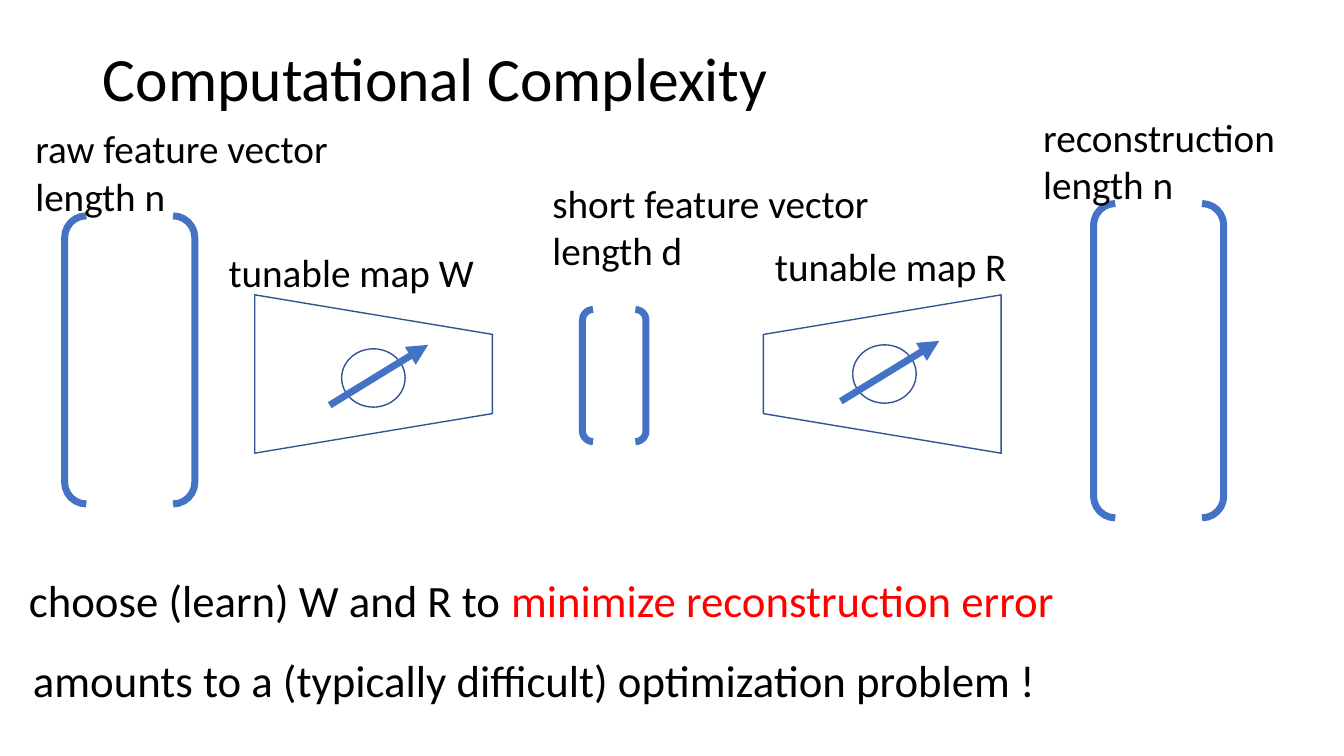
"""Builds the slide on the computational complexity of learning a compression map."""
import dataclasses

import lxml.etree
import pptx
import pptx.dml.color
import pptx.enum.shapes
import pptx.enum.text
import pptx.oxml.ns
import pptx.util

Cm = pptx.util.Cm
Pt = pptx.util.Pt
PRESET = pptx.enum.shapes.MSO_SHAPE


@dataclasses.dataclass(frozen=True)
class Theme:
    font: str = "Calibri"
    text: str = "000000"
    accent: str = "FF0000"
    bold_line: str = "4472C4"
    thin_line: str = "325491"
    title_size: int = 44
    body_size: int = 32
    label_size: int = 28
    bold_width: int = 5
    thin_width: int = 1


class SlideBuilder:
    def __init__(self, page, theme):
        self.page = page
        self.theme = theme

    def format_span(self, span, size, color):
        span.font.name = self.theme.font
        span.font.size = Pt(size)
        span.font.color.rgb = pptx.dml.color.RGBColor.from_string(color)

    def format_line(self, line, color, width):
        line.color.rgb = pptx.dml.color.RGBColor.from_string(color)
        line.width = Pt(width)

    def title(self, text, left, top, width, height):
        box = self.page.shapes.title
        box.left, box.top, box.width, box.height = Cm(left), Cm(top), Cm(width), Cm(height)
        frame = box.text_frame
        frame.text = text
        frame.auto_size = pptx.enum.text.MSO_AUTO_SIZE.NONE
        frame.vertical_anchor = pptx.enum.text.MSO_ANCHOR.MIDDLE
        para = frame.paragraphs[0]
        para.alignment = pptx.enum.text.PP_ALIGN.LEFT
        para.line_spacing = 0.9
        self.format_span(para.runs[0], self.theme.title_size, self.theme.text)

    def text(self, text, left, top, width, height, size, highlight=""):
        box = self.page.shapes.add_textbox(Cm(left), Cm(top), Cm(width), Cm(height))
        frame = box.text_frame
        frame.word_wrap = True
        frame.text = text
        for para in frame.paragraphs:
            for span in para.runs:
                self.format_span(span, size, self.theme.text)
        if highlight:
            span = frame.paragraphs[-1].add_run()
            span.text = highlight
            self.format_span(span, size, self.theme.accent)

    def label(self, text, left, top, width):
        height = 1.15 + 0.93 * text.count("\n")
        self.text(text, left, top, width, height, self.theme.label_size)

    def outline(self, preset, left, top, width, height, color, line_width):
        shape = self.page.shapes.add_shape(preset, Cm(left), Cm(top), Cm(width), Cm(height))
        shape.shadow.inherit = False
        shape.fill.background()
        self.format_line(shape.line, color, line_width)
        return shape

    def vector(self, left, top, width, height):
        self.outline(PRESET.DOUBLE_BRACKET, left, top, width, height,
                     self.theme.bold_line, self.theme.bold_width)

    def tunable_map(self, left, rotation, dial_left, dial_top):
        funnel = self.outline(PRESET.TRAPEZOID, left, 6.43, 3.99, 5.99,
                              self.theme.thin_line, self.theme.thin_width)
        funnel.rotation = rotation
        self.outline(PRESET.OVAL, dial_left, dial_top, 1.6, 1.47,
                     self.theme.thin_line, self.theme.thin_width)
        self.arrow(dial_left - 0.3, dial_top + 1.42, dial_left + 2.18, dial_top - 0.1)

    def arrow(self, start_x, start_y, end_x, end_y):
        arrow = self.page.shapes.add_connector(
            pptx.enum.shapes.MSO_CONNECTOR.STRAIGHT,
            Cm(start_x), Cm(start_y), Cm(end_x), Cm(end_y))
        self.format_line(arrow.line, self.theme.bold_line, self.theme.bold_width)
        properties = arrow.element.spPr
        qn = pptx.oxml.ns.qn
        lxml.etree.SubElement(properties.find(qn("a:ln")), qn("a:tailEnd"), type="triangle")
        lxml.etree.SubElement(properties, qn("a:effectLst"))


def main():
    deck = pptx.Presentation()
    deck.slide_width, deck.slide_height = Cm(33.87), Cm(19.05)
    page = deck.slides.add_slide(deck.slide_layouts.get_by_name("Title Only"))
    theme = Theme()
    builder = SlideBuilder(page, theme)

    builder.title("Computational Complexity", 2.34, 1.02, 29.21, 2.08)

    builder.vector(1.63, 5.44, 3.28, 7.26)
    builder.label("raw feature vector\nlength n", 0.64, 3.02, 8.38)
    builder.tunable_map(7.42, 90, 8.61, 8.79)
    builder.label("tunable map W", 5.51, 6.12, 6.91)
    builder.vector(14.68, 7.8, 1.6, 3.33)
    builder.label("short feature vector\nlength d", 13.67, 4.39, 8.99)
    builder.tunable_map(20.24, 270, 21.49, 8.69)
    builder.label("tunable map R", 19.28, 5.99, 6.81)
    builder.vector(27.56, 5.13, 3.28, 7.92)
    builder.label("reconstruction\nlength n", 26.04, 2.74, 6.81)

    builder.text("choose (learn) W and R to ", 0.48, 14.3, 27.2, 1.63,
                 theme.body_size, highlight="minimize reconstruction error")
    builder.text("amounts to a (typically difficult) optimization problem !",
                 0.58, 16.33, 27.2, 1.63, theme.body_size)
    deck.save("out.pptx")


if __name__ == "__main__":
    main()
